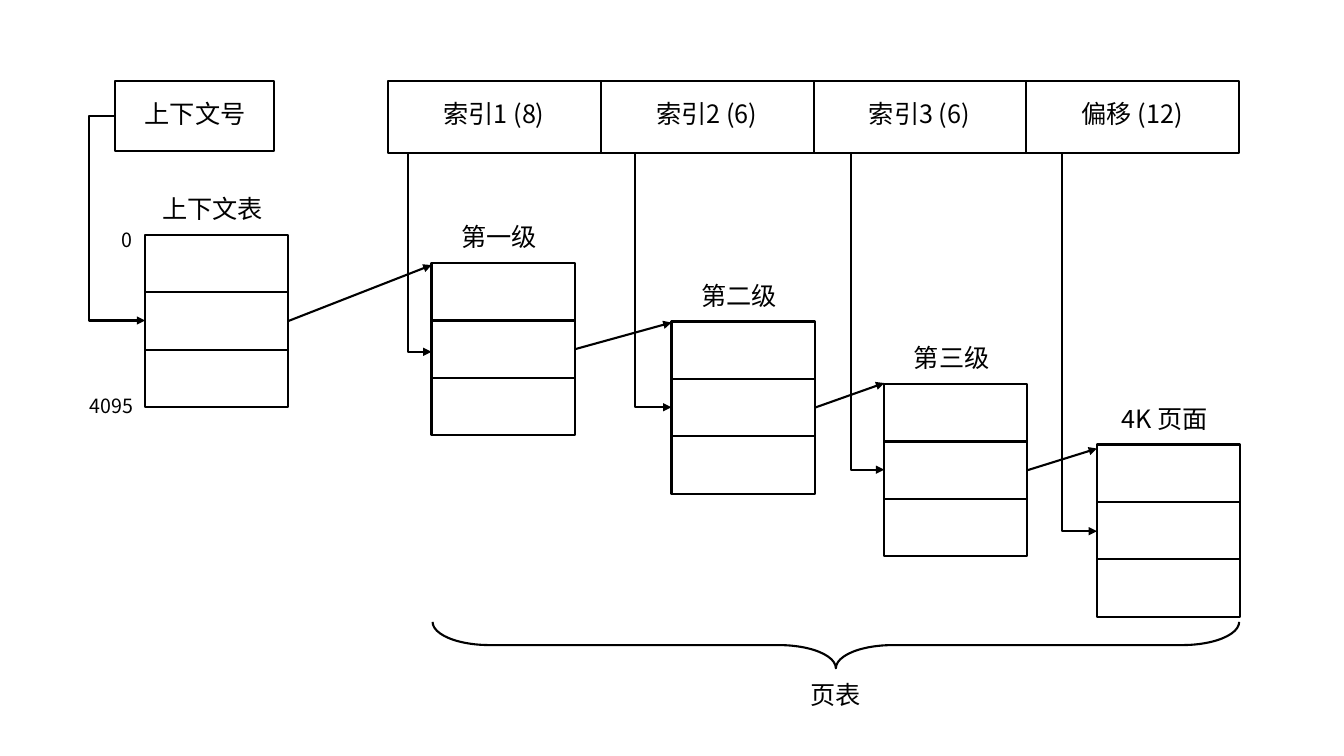
from lxml import etree
from pptx import Presentation
from pptx.dml.color import RGBColor
from pptx.enum.shapes import MSO_CONNECTOR, MSO_SHAPE
from pptx.enum.text import MSO_AUTO_SIZE, PP_ALIGN
from pptx.oxml.ns import qn
from pptx.util import Inches, Pt

RECTANGLE, BRACE = MSO_SHAPE.RECTANGLE, MSO_SHAPE.RIGHT_BRACE
STRAIGHT, ELBOW = MSO_CONNECTOR.STRAIGHT, MSO_CONNECTOR.ELBOW
LEFT, CENTER, RIGHT = PP_ALIGN.LEFT, PP_ALIGN.CENTER, PP_ALIGN.RIGHT
FIT_TEXT = MSO_AUTO_SIZE.SHAPE_TO_FIT_TEXT

COLORS = {"ink": "000000", "paper": "FFFFFF"}
FONT = "Noto Sans CJK SC"

FIELDS = ["索引1 (8)", "索引2 (6)", "索引3 (6)", "偏移 (12)"]
FIELD_LEFT, FIELD_TOP, FIELD_WIDTH, FIELD_HEIGHT = 3.85, 0.8, 2.11, 0.72
CONTEXT = {"text": "上下文号", "left": 1.14, "top": 0.8, "width": 1.58, "height": 0.7}

TABLES = [
    ("上下文表", 1.44, 2.33),
    ("第一级", 4.28, 2.61),
    ("第二级", 6.66, 3.19),
    ("第三级", 8.77, 3.81),
    ("4K 页面", 10.88, 4.41),
]
CELL_WIDTH, CELL_HEIGHT, CELL_COUNT = 1.42, 0.57, 3
INDEX_ARROWS = [(4.05, 3.49), (6.3, 4.04), (8.44, 4.66), (10.53, 5.27)]
POINTER_END_TOPS = [2.63, 3.2, 3.8, 4.45]

NOTES = [
    ("0", 1.11, 2.21, 0.31, 0.34, 14, LEFT),
    ("4095", 0.74, 3.86, 0.68, 0.34, 14, RIGHT),
    ("页表", 7.94, 6.69, 1.54, 0.4, 18, LEFT),
]

deck = Presentation()
deck.slide_width, deck.slide_height = Inches(13.33), Inches(7.5)
page = deck.slides.add_slide(deck.slide_layouts[6])
page.background.fill.solid()
page.background.fill.fore_color.rgb = RGBColor.from_string(COLORS["paper"])


def add_text(text, left, top, width, height=0.4, size=18, align=CENTER):
    box = page.shapes.add_textbox(Inches(left), Inches(top), Inches(width), Inches(height))
    box.text_frame.word_wrap = True
    box.text_frame.auto_size = FIT_TEXT
    para = box.text_frame.paragraphs[0]
    para.alignment = align
    span = para.add_run()
    span.text = text
    span.font.size = Pt(size)
    span.font.name = FONT
    span.font.color.rgb = RGBColor.from_string(COLORS["ink"])
    etree.SubElement(span.font._element, qn("a:ea")).set("typeface", FONT)


def draw_line(line):
    line.color.rgb = RGBColor.from_string(COLORS["ink"])
    line.width = Pt(1.5)


def add_outline(left, top, width, height, kind=RECTANGLE):
    shape = page.shapes.add_shape(kind, Inches(left), Inches(top), Inches(width), Inches(height))
    shape.shadow.inherit = False
    shape.fill.background()
    draw_line(shape.line)
    return shape


def add_arrow(kind, start, end):
    arrow = page.shapes.add_connector(kind, *[Inches(value) for value in (*start, *end)])
    draw_line(arrow.line)
    properties = arrow.element.spPr
    etree.SubElement(properties.find(qn("a:ln")), qn("a:tailEnd")).set("type", "triangle")
    etree.SubElement(properties, qn("a:effectLst"))
    return arrow


def add_down_right_arrow(start, end):
    across, down = end[0] - start[0], end[1] - start[1]
    left = (start[0] + end[0] - down) / 2
    top = (start[1] + end[1] - across) / 2
    arrow = add_arrow(ELBOW, (left, top), (left + down, top + across))
    properties = arrow.element.spPr
    properties.find(qn("a:prstGeom")).set("prst", "bentConnector2")
    frame = properties.find(qn("a:xfrm"))
    frame.set("rot", str(270 * 60000))
    frame.set("flipH", "1")


add_outline(CONTEXT["left"], CONTEXT["top"], CONTEXT["width"], CONTEXT["height"])
add_text(CONTEXT["text"], CONTEXT["left"] + 0.03, 0.93, 1.53)

for index, field in enumerate(FIELDS):
    left = FIELD_LEFT + index * FIELD_WIDTH
    add_outline(left, FIELD_TOP, FIELD_WIDTH, FIELD_HEIGHT)
    add_text(field, left + 0.03, 0.93, 2.04, 0.41)

middle_cells = []
for label, left, top in TABLES:
    cells = [
        add_outline(left, top + row * CELL_HEIGHT, CELL_WIDTH, CELL_HEIGHT)
        for row in range(CELL_COUNT)
    ]
    middle_cells.append(cells[1])
    add_text(label, left - 0.04, top - 0.46, CELL_WIDTH)

context_arrow = add_arrow(ELBOW, (CONTEXT["left"], 1.15), (TABLES[0][1], 3.18))
guides = context_arrow.element.spPr.find(qn("a:prstGeom")).get_or_add_avLst()
guide = etree.SubElement(guides, qn("a:gd"))
guide.set("name", "adj1")
guide.set("fmla", "val -85100")

for (start_left, end_top), (_, table_left, _) in zip(INDEX_ARROWS, TABLES[1:]):
    add_down_right_arrow((start_left, FIELD_TOP + FIELD_HEIGHT), (table_left, end_top))

for cell, source, target, end_top in zip(middle_cells, TABLES, TABLES[1:], POINTER_END_TOPS):
    start = (source[1] + CELL_WIDTH, source[2] + CELL_HEIGHT * 1.5)
    pointer = add_arrow(STRAIGHT, start, (target[1], end_top))
    pointer.begin_connect(cell, 3)

for text, left, top, width, height, size, align in NOTES:
    add_text(text, left, top, width, height, size=size, align=align)

brace = add_outline(8.06, 2.4, 0.46, 8, kind=BRACE)
brace.rotation = 90
brace.adjustments[0] = 1.23

deck.save("out.pptx")
